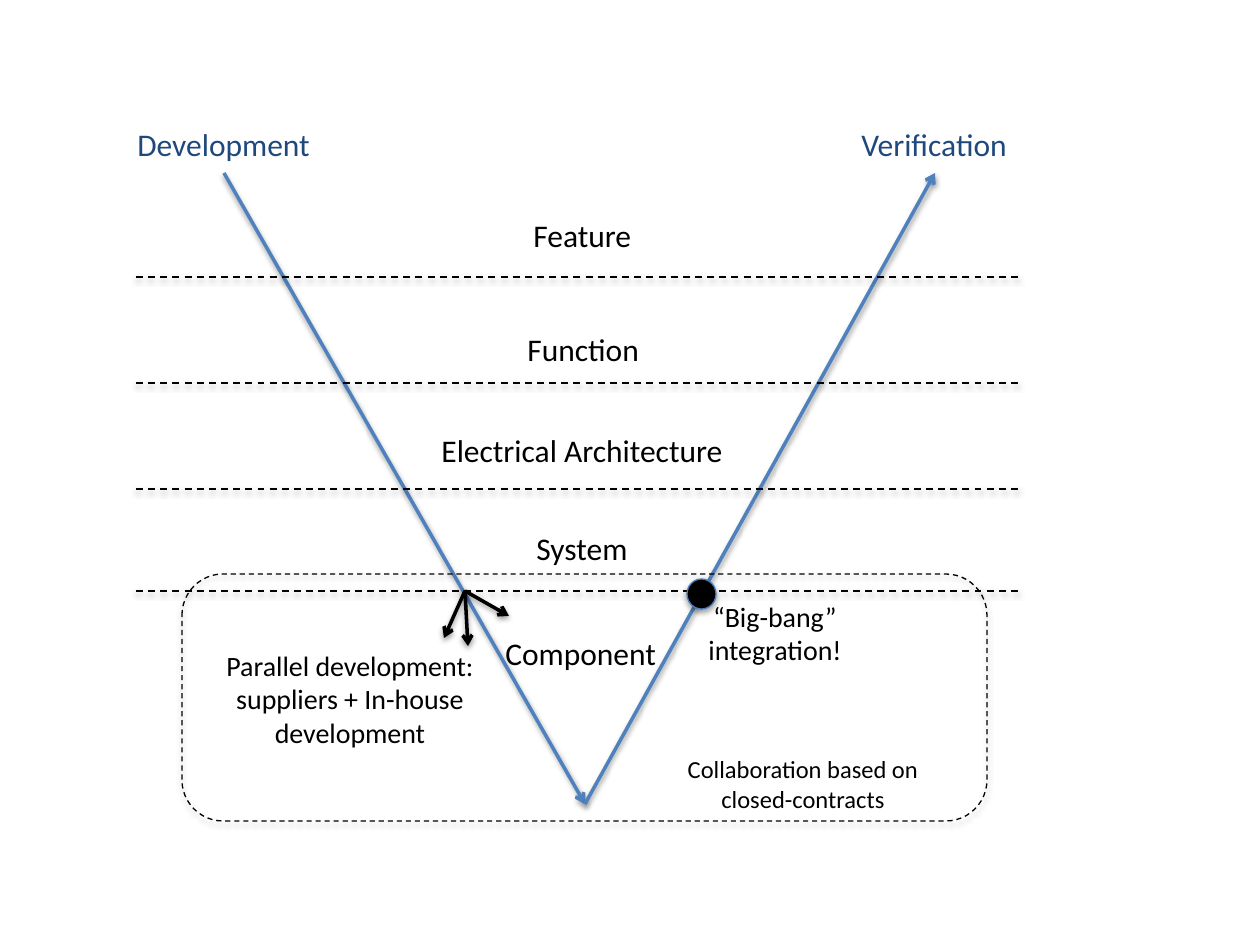
import pptx
import pptx.util
import pptx.dml.color
import pptx.enum.dml
import pptx.enum.shapes
import pptx.enum.text
import pptx.oxml
import pptx.oxml.ns

PIXEL = 914400 / 126
COLORS = {"navy": "1F497D", "blue": "4F81BD", "outline": "4B7EBC", "black": "000000"}
FONT = "Calibri"
NAMESPACE = pptx.oxml.ns.nsdecls("a")
LEVEL_LEFT, LEVEL_RIGHT = 136, 1023
V_TOP, V_BOTTOM = 173, 804
V_TIP = (585, V_BOTTOM)
SPLIT = (465, 591)


def px(length):
    return pptx.util.Emu(round(length * PIXEL))


def rgb(name):
    return pptx.dml.color.RGBColor.from_string(COLORS[name])


def add_shadow(shape, distance, opacity):
    shape._element.spPr.append(pptx.oxml.parse_xml(
        f'<a:effectLst {NAMESPACE}><a:outerShdw blurRad="40000" dist="{distance}" '
        f'dir="5400000" rotWithShape="0"><a:srgbClr val="{COLORS["black"]}">'
        f'<a:alpha val="{opacity}000"/></a:srgbClr></a:outerShdw></a:effectLst>'))


def style_line(line, color, width, dashed=False):
    line.color.rgb = rgb(color)
    line.width = pptx.util.Pt(width)
    if dashed:
        line.dash_style = pptx.enum.dml.MSO_LINE.DASH


def add_line(slide, start, end, color, width, dashed=False, arrow=False):
    line = slide.shapes.add_connector(
        pptx.enum.shapes.MSO_CONNECTOR.STRAIGHT, *map(px, start + end))
    style_line(line.line, color, width, dashed)
    if arrow:
        line.line._get_or_add_ln().append(
            pptx.oxml.parse_xml(f'<a:tailEnd {NAMESPACE} type="arrow"/>'))
    add_shadow(line, 20000, 38)


def add_outline(slide, kind, box, color, fill=None, dashed=False):
    outline = slide.shapes.add_shape(kind, *map(px, box))
    if fill:
        outline.fill.solid()
        outline.fill.fore_color.rgb = rgb(fill)
    else:
        outline.fill.background()
    style_line(outline.line, color, 0.75, dashed)
    add_shadow(outline, 23000, 35)


def add_text(slide, words, box, size=18, color="black", wrapped=False):
    frame = slide.shapes.add_textbox(*map(px, box)).text_frame
    frame.word_wrap = wrapped
    frame.auto_size = pptx.enum.text.MSO_AUTO_SIZE.SHAPE_TO_FIT_TEXT
    paragraph = frame.paragraphs[0]
    paragraph.text = words
    if wrapped:
        paragraph.alignment = pptx.enum.text.PP_ALIGN.CENTER
    paragraph.font.name = FONT
    paragraph.font.size = pptx.util.Pt(size)
    paragraph.font.color.rgb = rgb(color)


def main():
    deck = pptx.Presentation()
    deck.slide_width, deck.slide_height = px(1260), px(945)
    slide = deck.slides.add_slide(deck.slide_layouts[6])
    shapes = pptx.enum.shapes.MSO_SHAPE

    add_line(slide, (224, V_TOP), V_TIP, "blue", 2, arrow=True)
    add_line(slide, V_TIP, (935, V_TOP), "blue", 2, arrow=True)
    for phase, left, width in (("Development", 125, 200), ("Verification", 849, 174)):
        add_text(slide, phase, (left, 119, width, 51), color="navy")

    for y in (277, 383, 489, 591):
        add_line(slide, (LEVEL_LEFT, y), (LEVEL_RIGHT, y), "black", 1, dashed=True)
    levels = (
        ("Feature", 521, 210, 126),
        ("Function", 515, 324, 138),
        ("Electrical Architecture", 429, 425, 311),
        ("System", 524, 523, 118),
        ("Component", 493, 628, 178),
    )
    for level, left, top, width in levels:
        add_text(slide, level, (left, top, width, 51))

    add_text(slide, "Parallel development: suppliers + In-house development",
             (207, 642, 286, 115), 16, wrapped=True)
    for branch_end in ((468, 646), (509, 616), (444, 638)):
        add_line(slide, SPLIT, branch_end, "black", 2, arrow=True)

    add_outline(slide, shapes.OVAL, (687, 579, 29, 30), "outline", fill="black")
    add_text(slide, "“Big-bang” integration!", (665, 593, 220, 81), 16, wrapped=True)
    add_outline(slide, shapes.ROUNDED_RECTANGLE, (182, 574, 805, 247), "black", dashed=True)
    add_text(slide, "Collaboration based on closed-contracts",
             (671, 748, 264, 72), 14, wrapped=True)
    deck.save("out.pptx")


main()
